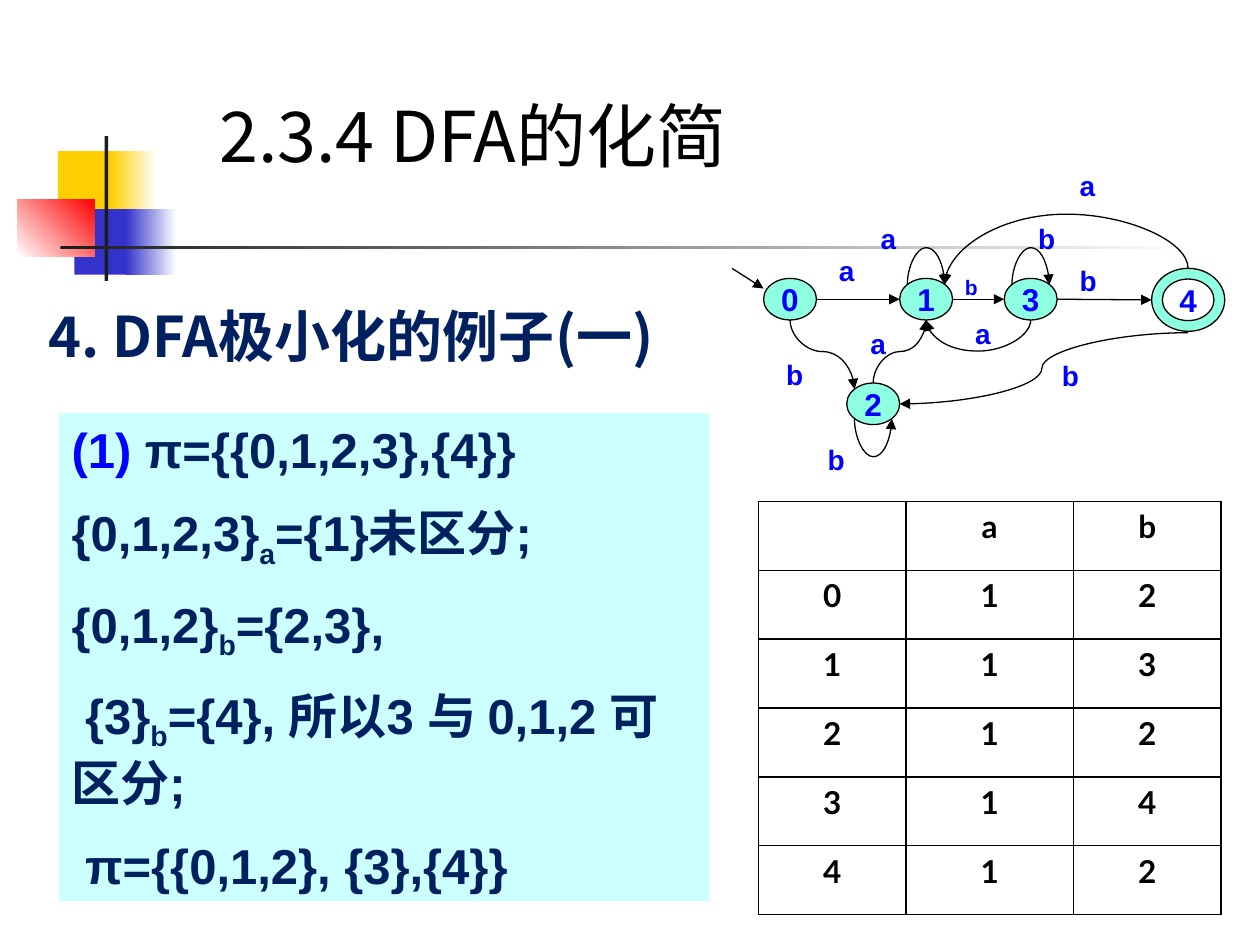
import math

import pptx
import pptx.util
import pptx.oxml
from pptx.dml.color import RGBColor
from pptx.enum.shapes import MSO_CONNECTOR, MSO_SHAPE
from pptx.enum.text import MSO_ANCHOR, MSO_AUTO_SIZE, PP_ALIGN
from pptx.oxml.ns import qn

BLACK = RGBColor(0, 0, 0)
WHITE = RGBColor(0xFF, 0xFF, 0xFF)
GOLD = RGBColor(0xFF, 0xCF, 0x01)
INDIGO = RGBColor(0x33, 0x33, 0xCC)
RED = RGBColor(0xFF, 0, 0)
CHARCOAL = RGBColor(0x1C, 0x1C, 0x1C)
NAVY = RGBColor(0, 0x20, 0x60)
BLUE = RGBColor(0, 0, 0xFF)
PALE = RGBColor(0xCC, 0xFF, 0xFF)
MINT = RGBColor(0x8E, 0xFF, 0xE1)
CJK = "Noto Sans CJK JP"
TOP, TOP_LEFT, LEFT, BOTTOM_LEFT, BOTTOM, BOTTOM_RIGHT, RIGHT, TOP_RIGHT = range(8)


def inches(*values):
    return [pptx.util.Inches(v) for v in values]


def style(p, size, color, name="Arial", bold=True, align=None):
    p.alignment = align
    p.font.size, p.font.bold, p.font.name = pptx.util.Pt(size), bold, name
    p.font.color.rgb = color
    if name == CJK:
        sub_element(p.font._element.find(qn("a:defRPr")) if p.font._element.tag != qn("a:defRPr")
                    else p.font._element, "a:ea", typeface=name)


def sub_element(parent, tag, **attrs):
    child = pptx.oxml.parse_xml(
        f'<{tag} xmlns:a="http://schemas.openxmlformats.org/drawingml/2006/main"/>')
    for key, value in attrs.items():
        child.set(key, str(value))
    parent.append(child)
    return child


def add_block(slide, box, fill, fade=None, angle=0, shape=MSO_SHAPE.RECTANGLE):
    sp = slide.shapes.add_shape(shape, *inches(*box))
    sp.shadow.inherit = False
    sp.line.fill.background()
    if fade is None:
        sp.fill.solid()
        sp.fill.fore_color.rgb = fill
    else:
        sp.fill.gradient()
        sp.fill.gradient_angle = angle
        for stop, color, position in zip(sp.fill.gradient_stops, (fill, fade), (0, 1)):
            stop.color.rgb, stop.position = color, position
    return sp


def add_label(slide, box, text, size, color, **font):
    tf = slide.shapes.add_textbox(*inches(*box)).text_frame
    tf.word_wrap = True
    tf.text = text
    style(tf.paragraphs[0], size, color, **font)


def add_state(slide, name, box, shape=MSO_SHAPE.OVAL):
    sp = add_block(slide, box, MINT, shape=shape)
    sp.line.color.rgb, sp.line.width = BLACK, pptx.util.Pt(0.75)
    if shape == MSO_SHAPE.DONUT:
        sp.adjustments[0] = 0.17
    tf = sp.text_frame
    tf.margin_left = tf.margin_right = tf.margin_top = tf.margin_bottom = 0
    tf.word_wrap, tf.vertical_anchor = False, MSO_ANCHOR.MIDDLE
    tf.text = name
    style(tf.paragraphs[0], 18, BLUE, align=PP_ALIGN.CENTER)
    return sp


def site_point(sp, site):
    """Point of one of the eight sites of an oval, counted from the top to the left."""
    angle = math.radians(45 * site)
    x = sp.left + sp.width / 2 * (1 - math.sin(angle))
    y = sp.top + sp.height / 2 * (1 - math.cos(angle))
    return x / 914400, y / 914400


def add_arrow(slide, begin, end, bend=None, turn=0):
    """Arrow between points or (state, site) pairs; a bend makes it a curve."""
    glue = [("a:stCxn", begin), ("a:endCxn", end)]
    glue = [(tag, e) for tag, e in glue if hasattr(e[0], "shape_id")]
    (x1, y1), (x2, y2) = [site_point(*e) if hasattr(e[0], "shape_id") else e
                          for e in (begin, end)]
    if bend is not None and abs(y2 - y1) < 0.005:
        y2 = y1 + 0.002  # a loop needs some height for its bend ratio
    # Endpoints as they lie before the connector is turned about its centre
    cx, cy = (x1 + x2) / 2, (y1 + y2) / 2
    c, s = round(math.cos(math.radians(turn))), round(math.sin(math.radians(turn)))
    points = [v for x, y in ((x1, y1), (x2, y2))
              for v in (cx + c * (x - cx) + s * (y - cy), cy + c * (y - cy) - s * (x - cx))]
    kind = MSO_CONNECTOR.STRAIGHT if bend is None else MSO_CONNECTOR.CURVE
    cxn = slide.shapes.add_connector(kind, *inches(*points))
    cxn.line.color.rgb, cxn.line.width = BLACK, pptx.util.Pt(0.75)
    sub_element(cxn.line._get_or_add_ln(), "a:tailEnd", type="triangle")
    sp_pr = cxn._element.spPr
    sub_element(sp_pr, "a:effectLst")
    for tag, (sp, site) in glue:
        sub_element(cxn._element.find(".//" + qn("p:cNvCxnSpPr")), tag,
                    id=sp.shape_id, idx=site)
    if bend is not None:
        sp_pr.find(qn("a:xfrm")).set("rot", str(turn * 60000))
        ratio = (bend - x1) / (x2 - x1) if turn == 180 else (bend - y1) / (y2 - y1)
        guides = sp_pr.find(qn("a:prstGeom")).get_or_add_avLst()
        sub_element(guides, "a:gd", name="adj1", fmla=f"val {round(ratio * 100000)}")


def add_decoration(slide):
    add_block(slide, (0.46, 1.2, 0.48, 0.52), GOLD)
    add_block(slide, (0.88, 1.2, 0.36, 0.52), GOLD, WHITE)
    add_block(slide, (0.59, 1.66, 0.46, 0.52), INDIGO)
    add_block(slide, (1, 1.66, 0.4, 0.52), INDIGO, WHITE)
    add_block(slide, (0.14, 1.58, 0.61, 0.46), WHITE, RED, angle=45)
    add_block(slide, (0.83, 1.08, 0.03, 1.15), CHARCOAL)
    add_block(slide, (0.48, 1.95, 9, 0.03), CHARCOAL, WHITE)


def add_steps(slide):
    steps = [
        ["(1) ", "π={{0,1,2,3},{4}}"],
        ["{0,1,2,3}", "a", "={1}未区分;"],
        ["{0,1,2}", "b", "={2,3},"],
        [" {3}", "b", "={4}, 所以3 与 0,1,2 可区分;"],
        [" π={{0,1,2}, {3},{4}}"],
    ]
    tf = add_block(slide, (0.47, 3.28, 5.16, 3.87), PALE).text_frame
    tf.word_wrap, tf.vertical_anchor = True, MSO_ANCHOR.TOP
    for i, parts in enumerate(steps):
        p = tf.add_paragraph() if i else tf.paragraphs[0]
        style(p, 28, NAVY, align=PP_ALIGN.LEFT)
        if i:
            p.space_before = pptx.util.Pt(14)
        for text in parts:
            r = p.add_run()
            r.text = text
            r.font.color.rgb = NAVY
            if text in ("a", "b"):
                r._r.get_or_add_rPr().set("baseline", "-25000")
    tf.paragraphs[0].runs[0].font.color.rgb = BLUE


def add_transitions(slide):
    rows = ["", "a", "b"], "012", "113", "212", "314", "412"
    table = slide.shapes.add_table(6, 3, *inches(6.02, 3.98, 3.67, 3.28)).table
    table.first_row = table.horz_banding = False
    for column, width in zip(table.columns, inches(1.17, 1.33, 1.17)):
        column.width = width
    for i, row in enumerate(rows):
        for j, text in enumerate(row):
            cell = table.cell(i, j)
            tc_pr = cell._tc.get_or_add_tcPr()
            for side in ("a:lnL", "a:lnR", "a:lnT", "a:lnB"):
                fill = sub_element(sub_element(tc_pr, side, w=12700), "a:solidFill")
                sub_element(fill, "a:srgbClr", val=BLACK)
            cell.fill.background()
            cell.text = text
            style(cell.text_frame.paragraphs[0], 18, BLACK, "Lato", align=PP_ALIGN.CENTER)


def add_automaton(slide):
    places = [(6.06, 2.21), (7.14, 2.21), (6.72, 3.04), (7.97, 2.21)]
    s0, s1, s2, s3 = [add_state(slide, str(i), (*place, 0.42, 0.33))
                      for i, place in enumerate(places)]
    s4 = add_state(slide, "4", (9.14, 2.13, 0.58, 0.5), MSO_SHAPE.DONUT)
    # Straight arrows
    add_arrow(slide, (5.81, 2.13), (6.06, 2.29))
    for a, b in ((s0, s1), (s1, s3), (s3, s4)):
        add_arrow(slide, (a, RIGHT), (b, LEFT))
    # Curves and loops
    add_arrow(slide, (s0, BOTTOM), (s2, TOP_LEFT), 2.79, 270)
    add_arrow(slide, (s2, TOP), (s1, BOTTOM), 2.79, 270)
    for state in (s1, s3):
        add_arrow(slide, (state, TOP_LEFT), (state, TOP_RIGHT), 1.96, 90)
    add_arrow(slide, (s2, BOTTOM_LEFT), (s2, BOTTOM_RIGHT), 3.63, 270)
    add_arrow(slide, (s3, BOTTOM), (s1, BOTTOM), 2.79, 90)
    add_arrow(slide, (s4, TOP), (s1, TOP_RIGHT), 1.7, 270)
    add_arrow(slide, (9.43, 2.64), (s2, RIGHT), 8.27, 180)
    # Input symbols
    symbols = {
        "a": [(6.81, 2.54), (8.47, 1.29), (7.64, 2.46), (6.89, 1.71), (6.56, 1.96)],
        "b": [(6.47, 3.46), (8.14, 1.71), (8.47, 2.04), (6.14, 2.79), (8.33, 2.8)],
    }
    for symbol, spots in symbols.items():
        for spot in spots:
            add_label(slide, (*spot, 0.42, 0.37), symbol, 16, BLUE)
    add_label(slide, (7.56, 2.13, 0.42, 0.3), "b", 12, BLUE)


def main():
    prs = pptx.Presentation()
    prs.slide_width, prs.slide_height = inches(10, 7.5)
    slide = prs.slides.add_slide(prs.slide_layouts[5])
    add_decoration(slide)
    # Title and heading
    title = slide.shapes.title
    title.left, title.top, title.width, title.height = inches(1.64, 0.7, 5.86, 0.73)
    tf = title.text_frame
    tf.text = "2.3.4 DFA的化简"
    tf.auto_size, tf.vertical_anchor = MSO_AUTO_SIZE.NONE, MSO_ANCHOR.MIDDLE
    style(tf.paragraphs[0], 40, BLACK, CJK, False, PP_ALIGN.LEFT)
    add_label(slide, (0, 2.34, 5.57, 0.64), "4. DFA极小化的例子(一)", 32, NAVY,
              name=CJK, align=PP_ALIGN.CENTER)
    # Content
    add_steps(slide)
    add_transitions(slide)
    add_automaton(slide)
    prs.save("out.pptx")


if __name__ == "__main__":
    main()
